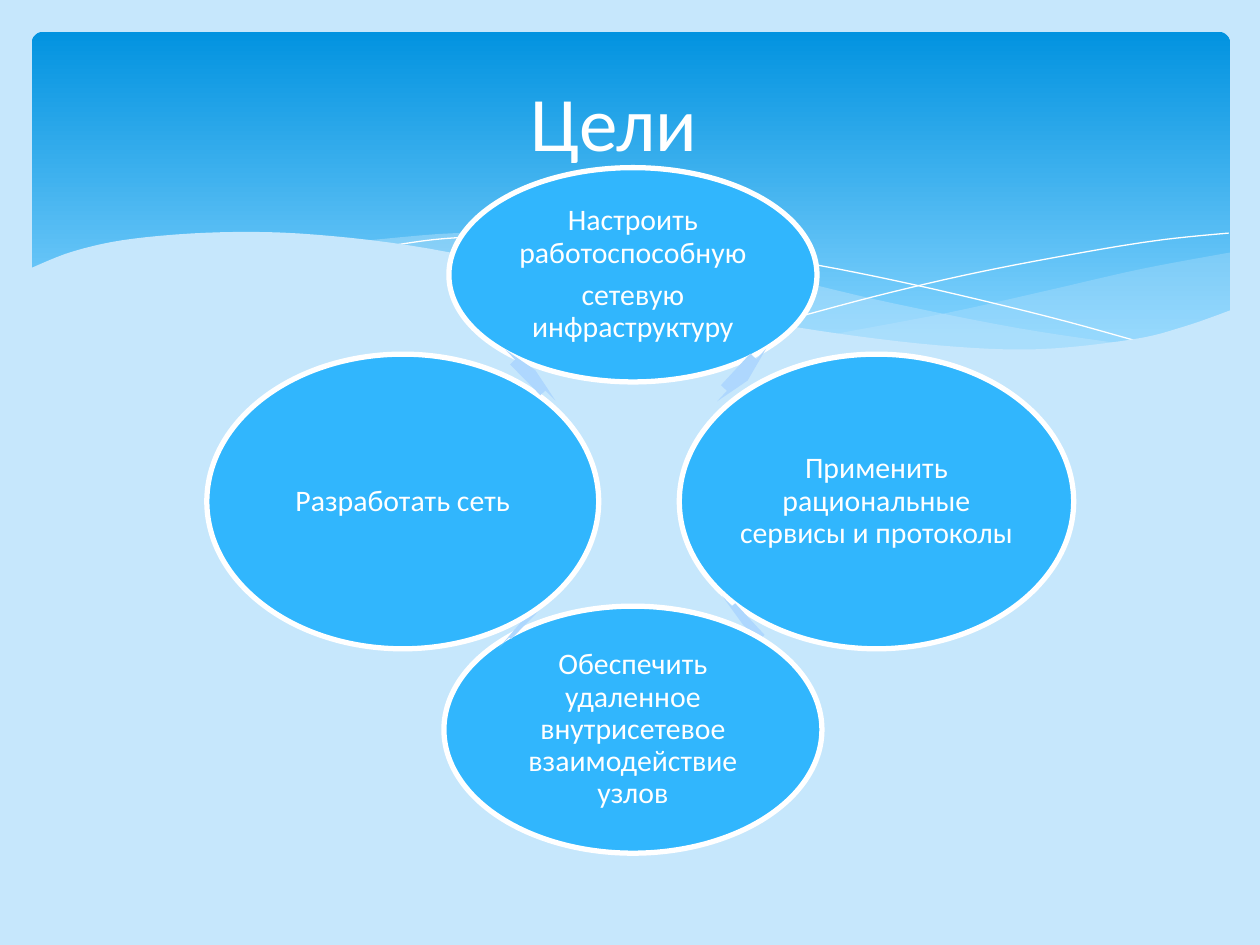
from collections import namedtuple

from lxml import etree
from pptx import Presentation
from pptx.dml.color import RGBColor
from pptx.enum.shapes import MSO_SHAPE
from pptx.enum.text import MSO_ANCHOR, PP_ALIGN
from pptx.oxml.ns import qn
from pptx.util import Cm, Pt

ROUNDED, OVAL, ARROW = MSO_SHAPE.ROUNDED_RECTANGLE, MSO_SHAPE.OVAL, MSO_SHAPE.RIGHT_ARROW
MIDDLE, CENTER = MSO_ANCHOR.MIDDLE, PP_ALIGN.CENTER

Box = namedtuple("Box", "left top width height")
COLORS = {"pale": "C6E7FC", "deep": "0293E0", "light": "83D3FE",
          "oval": "31B6FD", "arrow": "AED7FE", "white": "FFFFFF"}
FONT = "Calibri"

RIGHT_VEIL = [
    [(24.16, 4.45), (22.38, 4.78), (20.5, 5.21), (18.49, 5.66), (16.15, 6.1)],
    [(16.15, 6.1), (17.63, 6.27), (18.9, 6.4), (20.04, 6.43), (21.29, 6.35),
     (22.56, 6.15), (23.47, 5.89), (24.16, 5.64)],
]
MIDDLE_VEIL = [
    [(22.05, 6.3), (19.86, 5.97), (17.3, 5.46), (15.34, 5), (13.46, 4.57),
     (11.79, 4.29), (10.03, 4.11), (8.53, 4.06), (6.63, 4.22)],
    [(6.63, 4.22), (8.56, 4.52), (10.77, 5), (12.83, 5.46), (15.06, 5.92),
     (17.02, 6.22), (18.69, 6.4), (20.4, 6.43), (22.05, 6.3)],
]
FALLING_LINE = [[(7.21, 4.32), (8.33, 4.17), (9.93, 4.11), (11.79, 4.19), (13.49, 4.37),
                 (15.52, 4.65), (17.83, 5.11), (20.47, 5.74), (22.4, 6.27)]]
RISING_LINE = [[(14.94, 5.89), (17.02, 5.33), (19.08, 4.85), (21.36, 4.42),
                (22.83, 4.19), (24.13, 4.06)]]
FRONT_WAVE = [
    [(-0.05, 4.78), (0.86, 4.42), (2.06, 4.17), (3.86, 4.04), (5.72, 4.09), (8, 4.37),
     (10.72, 4.95), (13.46, 5.59), (15.82, 6.02), (18.26, 6.32), (20.27, 6.4),
     (22.2, 6.2), (23.24, 5.94), (24.18, 5.61)],
    [(24.18, 7.72), (-0.05, 7.72)],
]

GOALS = [
    ((8.59, 2.16), (7.42, 4.32), ["Настроить работоспособную", "сетевую инфраструктуру"]),
    ((13.5, 6.73), (7.95, 5.94), ["Применить рациональные сервисы и протоколы"]),
    ((8.59, 11.33), (7.62, 4.98),
     ["Обеспечить удаленное внутрисетевое взаимодействие узлов"]),
    ((3.95, 6.73), (7.9, 5.94), ["Разработать сеть"]),
]
ARROWS = [
    ((10.78, 4.18), (0.33, 1.45), 42.9),
    ((10.88, 9.16), (0.18, 1.45), 137),
    ((6.4, 9.16), (0.1, 1.45), 224.6),
    ((6.52, 4.18), (0.28, 1.45), 315.4),
]


def color(name):
    """Look up a palette colour."""
    return RGBColor.from_string(COLORS[name])


def paint(shape, fill=None, line=None, width=0):
    """Set fill and outline, and remove the shadow."""
    shape.shadow.inherit = False
    if fill:
        shape.fill.solid()
        shape.fill.fore_color.rgb = color(fill)
    else:
        shape.fill.background()
    if line:
        shape.line.color.rgb = color(line)
        shape.line.width = Pt(width)
    else:
        shape.line.fill.background()


def smooth_curve(knots, steps=6):
    """Return points of a Catmull-Rom curve through the knots."""
    padded = [knots[0], *knots, knots[-1]]
    points = [knots[0]]
    for a, b, c, d in zip(padded, padded[1:], padded[2:], padded[3:]):
        for step in range(1, steps + 1):
            t = step / steps
            points.append(tuple(
                (2 * q + (r - p) * t + (2 * p - 5 * q + 4 * r - s) * t ** 2
                 + (3 * q - p - 3 * r + s) * t ** 3) / 2
                for p, q, r, s in zip(a, b, c, d)))
    return points


def add_wave(page, box, curves, fill=None, line=None, opacity=100):
    """Draw one outline made of smooth curves, relative to the box."""
    points = [(Cm(box.left + x), Cm(box.top + y))
              for knots in curves for x, y in smooth_curve(knots)]
    builder = page.shapes.build_freeform(*points[0])
    builder.add_line_segments(points[1:], close=fill is not None)
    wave = builder.convert_to_shape()
    paint(wave, fill, line)
    if opacity < 100:
        tint = wave.fill._xPr.find(qn("a:solidFill"))[0]
        etree.SubElement(tint, qn("a:alpha")).set("val", str(opacity * 1000))


def add_banner(page, box):
    """Draw the gradient banner with its waves."""
    panel = page.shapes.add_shape(ROUNDED, *map(Cm, box))
    panel.adjustments[0] = 0.034
    paint(panel)
    panel.fill.gradient()
    panel.fill.gradient_angle = 270
    for stop, name, position in zip(panel.fill.gradient_stops, ("deep", "light"), (0, 0.9)):
        stop.color.rgb = color(name)
        stop.position = position
    add_wave(page, box, RIGHT_VEIL, fill="pale", opacity=29)
    add_wave(page, box, MIDDLE_VEIL, fill="pale", opacity=40)
    add_wave(page, box, FALLING_LINE, line="white")
    add_wave(page, box, RISING_LINE, line="white")
    add_wave(page, box, FRONT_WAVE, fill="pale")


def write(frame, lines, size):
    """Fill a text frame with centred white paragraphs."""
    frame.text = "\n".join(lines)
    frame.word_wrap = True
    frame.vertical_anchor = MIDDLE
    for para in frame.paragraphs:
        para.alignment = CENTER
        for span in para.runs:
            span.font.name = FONT
            span.font.size = Pt(size)
            span.font.color.rgb = color("white")


def add_centered(page, box, kind, center, size):
    """Add a preset shape around a centre given relative to the box."""
    (x, y), (width, height) = center, size
    return page.shapes.add_shape(kind, Cm(box.left + x - width / 2),
                                 Cm(box.top + y - height / 2), Cm(width), Cm(height))


def add_goal_cycle(page, box):
    """Draw the ring of goals, each followed by its arrow."""
    for (center, size, lines), (middle, extent, angle) in zip(GOALS, ARROWS):
        goal = add_centered(page, box, OVAL, center, size)
        paint(goal, "oval", "white", 3)
        frame = goal.text_frame
        frame.margin_left = frame.margin_right = Cm(0.05)
        frame.margin_top = frame.margin_bottom = Cm(0.05)
        write(frame, lines, 17)
        for para in frame.paragraphs:
            para.line_spacing = 0.9
            para.space_after = Pt(6)
        arrow = add_centered(page, box, ARROW, middle, extent)
        arrow.adjustments[0] = 0.6
        arrow.rotation = angle
        paint(arrow, "arrow")


def place_title(page, box):
    """Move the title placeholder to the box, in front of the rest."""
    title = page.shapes.title
    title.left, title.top, title.width, title.height = map(Cm, box)
    write(title.text_frame, ["Цели"], 44)
    page.shapes._spTree.append(title._element)


def main():
    """Build and save the slide."""
    deck = Presentation()
    deck.slide_width, deck.slide_height = Cm(25.4), Cm(19.05)
    page = deck.slides.add_slide(deck.slide_layouts[5])
    page.background.fill.solid()
    page.background.fill.fore_color.rgb = color("pale")
    add_banner(page, Box(0.64, 0.64, 24.16, 6.86))
    add_goal_cycle(page, Box(4.17, 3.38, 17.48, 13.82))
    place_title(page, Box(1.27, 0.94, 22.22, 3))
    deck.save("out.pptx")


if __name__ == "__main__":
    main()
